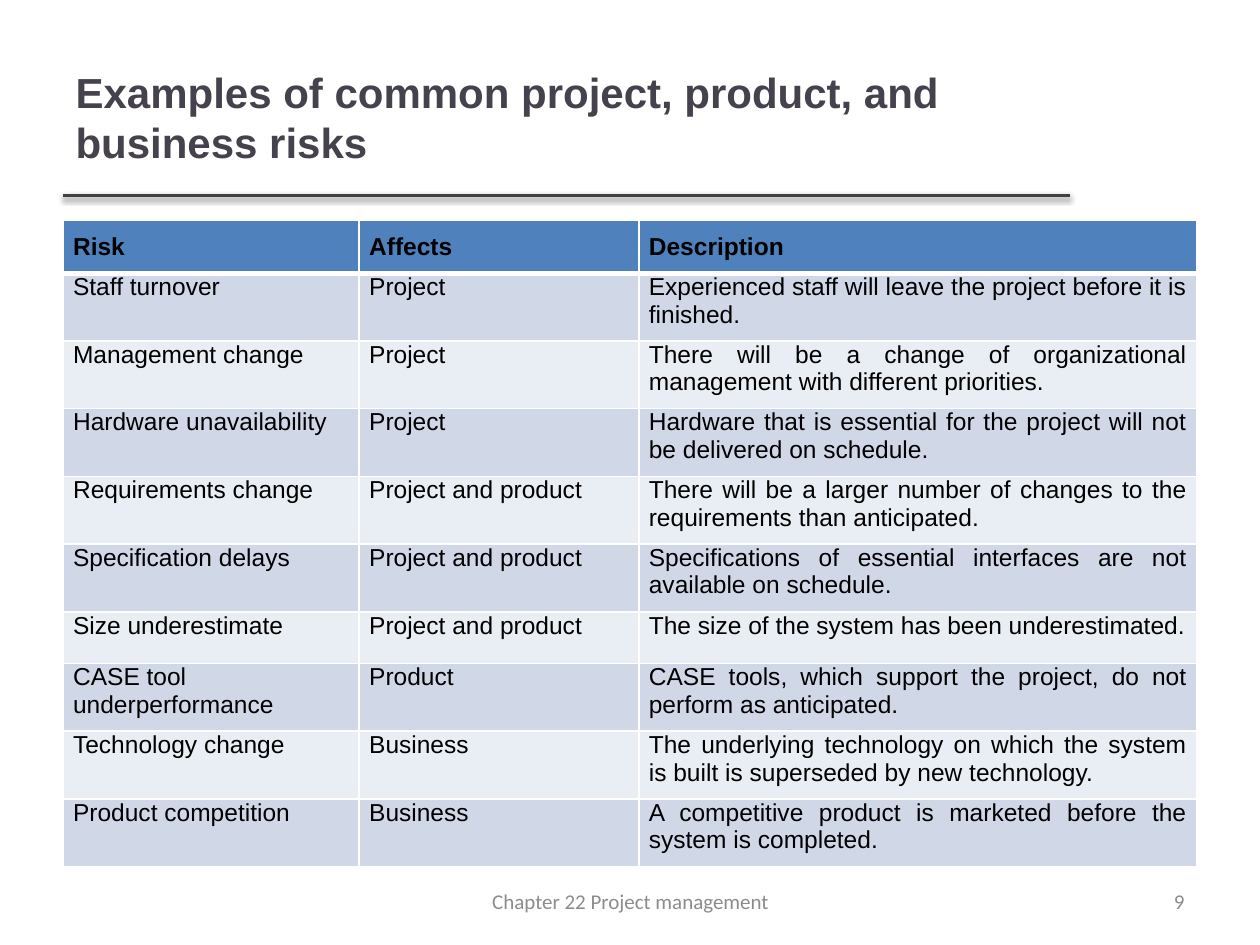
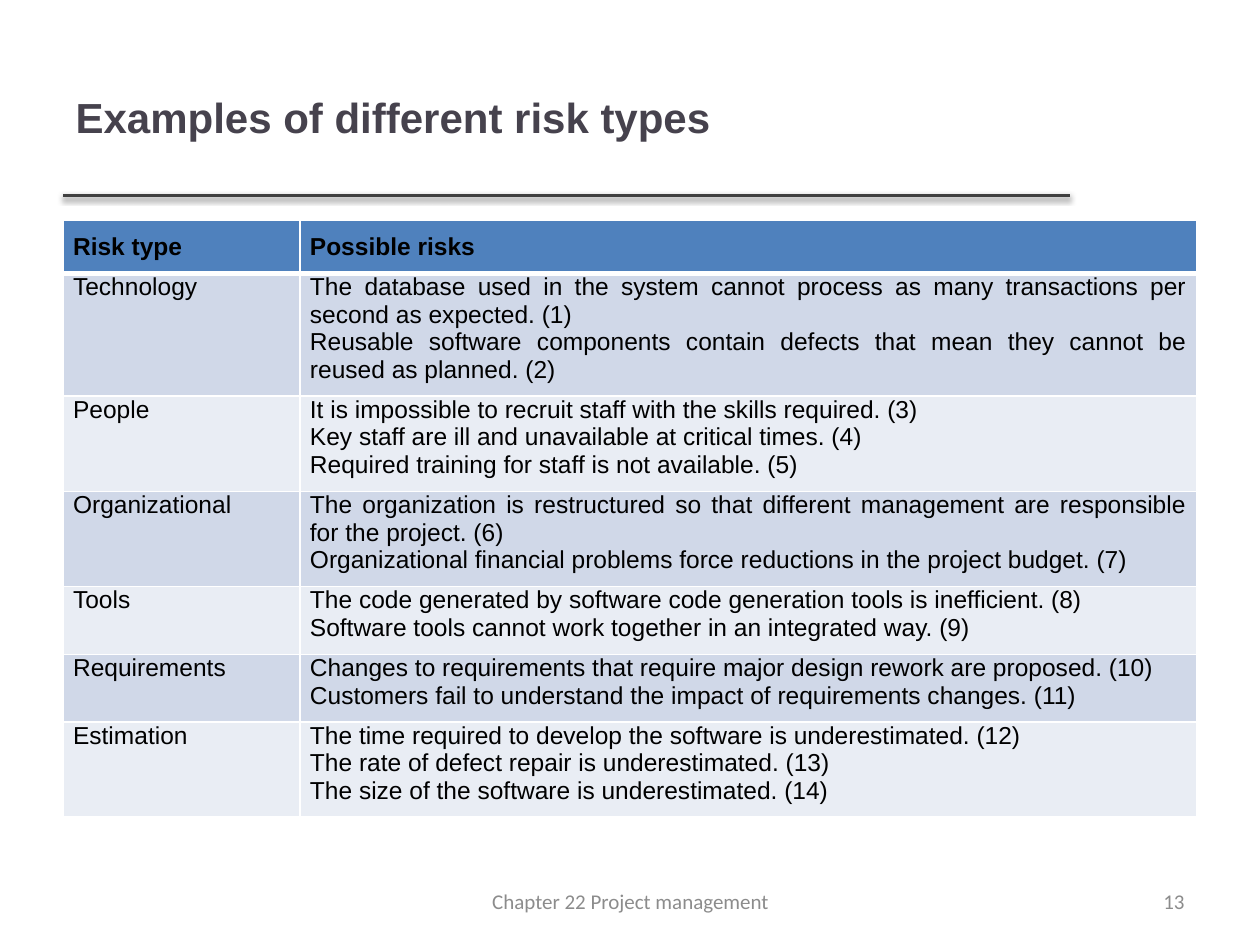
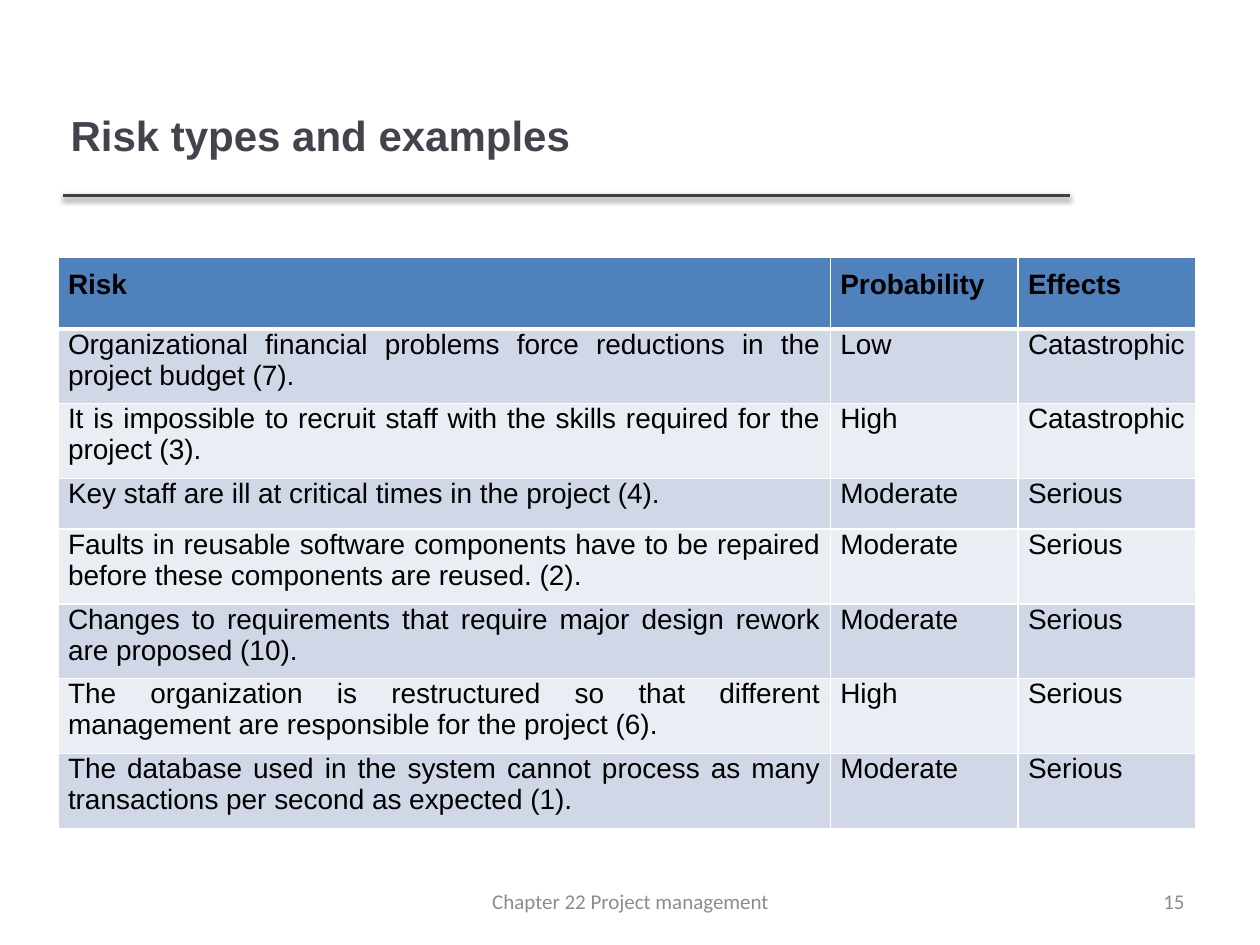
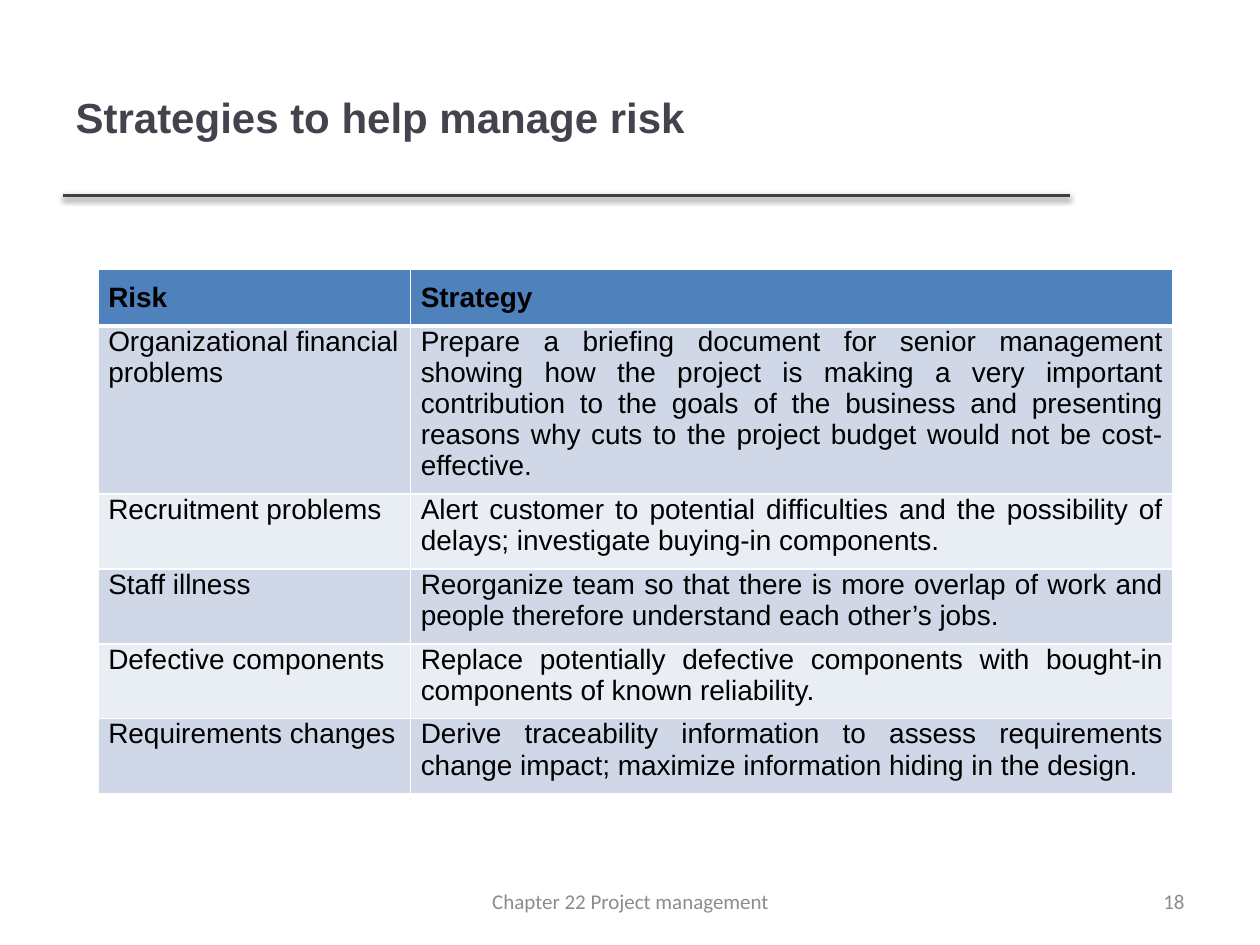
"""Four slides on project risk, each a titled table with a common rule and footer."""
from dataclasses import dataclass

import pptx
import pptx.dml.color
import pptx.enum.shapes
import pptx.enum.text
import pptx.oxml
import pptx.oxml.ns
import pptx.presentation
import pptx.slide
import pptx.table
import pptx.text.text
import pptx.util

Inches = pptx.util.Inches
Align = pptx.enum.text.PP_ALIGN
Anchor = pptx.enum.text.MSO_ANCHOR
Box = tuple[float, float, float, float]


@dataclass(frozen=True)
class Theme:
    """Colours, fonts and type sizes used on every slide."""
    title_color: str = "46424D"
    rule_color: str = "404040"
    footer_color: str = "8C8C8C"
    text_color: str = "000000"
    border_color: str = "FFFFFF"
    header_fill: str = "4F81BD"
    band_fills: tuple[str, str] = ("D0D8E8", "E9EDF4")
    body_font: str = "Arial"
    footer_font: str = "Calibri"
    title_size: int = 24
    footer_size: int = 12
    rule_width: int = 2
    border_width: int = 1
    header_border_width: int = 3


THEME = Theme()
TITLE_BOX: Box = (0.5, 0.3, 7.98, 1.25)
NUMBER_BOX: Box = (7.17, 6.95, 2.33, 0.4)
CHAPTER_BOX: Box = (3.42, 6.95, 3.17, 0.4)
CHAPTER = "Chapter 22 Project management"
ROW_HEIGHT = 0.41


@dataclass(frozen=True)
class RiskSlide:
    """One slide: its title, page number and table; a line break in a cell starts a paragraph."""
    title: str
    number: int
    table_box: Box
    columns: tuple[float, ...]
    header: tuple[str, ...]
    rows: tuple[tuple[str, ...], ...]
    text_size: int
    left_columns: int = 0
    title_box: Box = TITLE_BOX
    row_heights: tuple[float, ...] = ()


SLIDES = (
    RiskSlide(
        title="Examples of common project, product, and business risks",
        number=9,
        table_box=(0.5, 1.75, 9, 5.37),
        columns=(2.35, 2.22, 4.43),
        text_size=14,
        left_columns=2,
        header=("Risk", "Affects", "Description"),
        rows=(
            ("Staff turnover", "Project",
             "Experienced staff will leave the project before it is finished."),
            ("Management change", "Project",
             "There will be a change of organizational management with different priorities."),
            ("Hardware unavailability", "Project",
             "Hardware that is essential for the project will not be delivered on schedule."),
            ("Requirements change", "Project and product",
             "There will be a larger number of changes to the requirements than anticipated."),
            ("Specification delays", "Project and product",
             "Specifications of essential interfaces are not available on schedule."),
            ("Size underestimate", "Project and product",
             "The size of the system has been underestimated."),
            ("CASE tool underperformance", "Product",
             "CASE tools, which support the project, do not perform as anticipated."),
            ("Technology change", "Business",
             "The underlying technology on which the system is built is superseded "
             "by new technology."),
            ("Product competition", "Business",
             "A competitive product is marketed before the system is completed."),
        ),
    ),
    RiskSlide(
        title="Examples of different risk types",
        number=13,
        table_box=(0.5, 1.75, 9, 5),
        columns=(1.88, 7.12),
        text_size=14,
        header=("Risk type", "Possible risks"),
        rows=(
            ("Technology",
             "The database used in the system cannot process as many transactions "
             "per second as expected. (1)\n"
             "Reusable software components contain defects that mean they cannot be "
             "reused as planned. (2)"),
            ("People",
             "It is impossible to recruit staff with the skills required. (3)\n"
             "Key staff are ill and unavailable at critical times. (4)\n"
             "Required training for staff is not available. (5)"),
            ("Organizational",
             "The organization is restructured so that different management are "
             "responsible for the project. (6)\n"
             "Organizational financial problems force reductions in the project budget. (7)"),
            ("Tools",
             "The code generated by software code generation tools is inefficient. (8)\n"
             "Software tools cannot work together in an integrated way. (9)"),
            ("Requirements",
             "Changes to requirements that require major design rework are proposed. (10)\n"
             "Customers fail to understand the impact of requirements changes. (11)"),
            ("Estimation",
             "The time required to develop the software is underestimated. (12)\n"
             "The rate of defect repair is underestimated. (13)\n"
             "The size of the software is underestimated. (14)"),
        ),
    ),
    RiskSlide(
        title="Risk types and examples",
        number=15,
        title_box=(0.46, 0.49, 7.63, 1.15),
        table_box=(0.46, 2.04, 9.03, 4.76),
        columns=(6.13, 1.49, 1.41),
        row_heights=(0.57, 0.47, 0.47, 0.4, 0.47, 0.47, 0.47, 0.47),
        text_size=16,
        header=("Risk", "Probability", "Effects"),
        rows=(
            ("Organizational financial problems force reductions in the project budget (7).",
             "Low", "Catastrophic"),
            ("It is impossible to recruit staff with the skills required for the project (3).",
             "High", "Catastrophic"),
            ("Key staff are ill at critical times in the project (4).",
             "Moderate", "Serious"),
            ("Faults in reusable software components have to be repaired before these "
             "components are reused. (2).", "Moderate", "Serious"),
            ("Changes to requirements that require major design rework are proposed (10).",
             "Moderate", "Serious"),
            ("The organization is restructured so that different management are "
             "responsible for the project (6).", "High", "Serious"),
            ("The database used in the system cannot process as many transactions "
             "per second as expected (1).", "Moderate", "Serious"),
        ),
    ),
    RiskSlide(
        title="Strategies to help manage risk",
        number=18,
        table_box=(0.78, 2.14, 8.53, 4.43),
        columns=(2.48, 6.05),
        text_size=16,
        left_columns=1,
        header=("Risk", "Strategy"),
        rows=(
            ("Organizational financial problems",
             "Prepare a briefing document for senior management showing how the project "
             "is making a very important contribution to the goals of the business and "
             "presenting reasons why cuts to the project budget would not be "
             "cost-effective."),
            ("Recruitment problems",
             "Alert customer to potential difficulties and the possibility of delays; "
             "investigate buying-in components."),
            ("Staff illness",
             "Reorganize team so that there is more overlap of work and people therefore "
             "understand each other’s jobs."),
            ("Defective components",
             "Replace potentially defective components with bought-in components of "
             "known reliability."),
            ("Requirements changes",
             "Derive traceability information to assess requirements change impact; "
             "maximize information hiding in the design."),
        ),
    ),
)


def rgb(color: str) -> pptx.dml.color.RGBColor:
    """Turn a hex string into a colour."""
    return pptx.dml.color.RGBColor.from_string(color)


def write_text(frame: pptx.text.text.TextFrame, text: str, *, size: int, color: str,
               font: str = THEME.body_font, bold: bool = False,
               align: Align = Align.LEFT) -> None:
    """Fill a text frame with one formatted paragraph per line of text."""
    frame.text = text
    for paragraph in frame.paragraphs:
        paragraph.alignment = align
        for run in paragraph.runs:
            run.font.size = pptx.util.Pt(size)
            run.font.name = font
            run.font.bold = bold
            run.font.color.rgb = rgb(color)


def add_title(slide: pptx.slide.Slide, text: str, box: Box) -> None:
    """Place and format the title placeholder."""
    title = slide.shapes.title
    title.left, title.top, title.width, title.height = map(Inches, box)
    frame = title.text_frame
    frame.auto_size = pptx.enum.text.MSO_AUTO_SIZE.NONE
    frame.word_wrap = True
    frame.vertical_anchor = Anchor.MIDDLE
    write_text(frame, text, size=THEME.title_size, color=THEME.title_color, bold=True)


def add_rule(slide: pptx.slide.Slide) -> None:
    """Draw the shadowed rule below the title."""
    rule = slide.shapes.add_connector(
        pptx.enum.shapes.MSO_CONNECTOR.STRAIGHT,
        Inches(0.5), Inches(1.55), Inches(8.49), Inches(1.55))
    rule.line.color.rgb = rgb(THEME.rule_color)
    rule.line.width = pptx.util.Pt(THEME.rule_width)
    rule._element.spPr.append(pptx.oxml.parse_xml(
        f'<a:effectLst {pptx.oxml.ns.nsdecls("a")}>'
        f'<a:outerShdw blurRad="{pptx.util.Pt(3.1)}" dist="{pptx.util.Pt(1.6)}" '
        'dir="5400000" rotWithShape="0"><a:srgbClr val="000000">'
        '<a:alpha val="38000"/></a:srgbClr></a:outerShdw></a:effectLst>'))


def add_footer(slide: pptx.slide.Slide, text: str, box: Box, align: Align) -> None:
    """Add one footer text."""
    footer = slide.shapes.add_textbox(*map(Inches, box))
    footer.text_frame.word_wrap = True
    footer.text_frame.vertical_anchor = Anchor.MIDDLE
    write_text(footer.text_frame, text, size=THEME.footer_size, color=THEME.footer_color,
               font=THEME.footer_font, align=align)


def set_borders(cell: pptx.table._Cell, row: int) -> None:
    """Draw the cell's borders, with a heavier one between header and body."""
    widths = dict.fromkeys(("lnL", "lnR", "lnT", "lnB"), THEME.border_width)
    if row < 2:
        widths["lnB" if row == 0 else "lnT"] = THEME.header_border_width
    properties = cell._tc.get_or_add_tcPr()
    for position, (side, width) in enumerate(widths.items()):
        properties.insert(position, pptx.oxml.parse_xml(
            f'<a:{side} {pptx.oxml.ns.nsdecls("a")} w="{pptx.util.Pt(width)}">'
            f'<a:solidFill><a:srgbClr val="{THEME.border_color}"/></a:solidFill>'
            f'</a:{side}>'))


def add_risk_table(slide: pptx.slide.Slide, content: RiskSlide) -> None:
    """Add the banded table of one slide."""
    lines = (content.header, *content.rows)
    heights = content.row_heights or (ROW_HEIGHT,) * len(lines)
    frame = slide.shapes.add_table(len(lines), len(content.columns),
                                   *map(Inches, content.table_box))
    table = frame.table
    for column, width in zip(table.columns, content.columns):
        column.width = Inches(width)
    for row, (values, height) in enumerate(zip(lines, heights)):
        is_header = row == 0
        table.rows[row].height = Inches(height)
        for column, value in enumerate(values):
            cell = table.cell(row, column)
            cell.margin_left = cell.margin_right = Inches(0.08)
            cell.margin_top = Inches(0.1 if is_header else 0)
            cell.margin_bottom = Inches(0.1)
            cell.fill.solid()
            cell.fill.fore_color.rgb = rgb(
                THEME.header_fill if is_header else THEME.band_fills[(row - 1) % 2])
            set_borders(cell, row)
            is_left = not is_header and column < content.left_columns
            write_text(cell.text_frame, value, size=content.text_size,
                       color=THEME.text_color, bold=is_header,
                       align=Align.LEFT if is_left else Align.JUSTIFY)
    frame.height = Inches(content.table_box[3])


def add_risk_slide(deck: pptx.presentation.Presentation, content: RiskSlide) -> None:
    """Build one complete slide."""
    slide = deck.slides.add_slide(deck.slide_layouts.get_by_name("Title Only"))
    add_rule(slide)
    add_title(slide, content.title, content.title_box)
    add_risk_table(slide, content)
    add_footer(slide, str(content.number), NUMBER_BOX, Align.RIGHT)
    add_footer(slide, CHAPTER, CHAPTER_BOX, Align.CENTER)


def main() -> None:
    """Build and save the deck."""
    deck = pptx.Presentation()
    deck.slide_width, deck.slide_height = Inches(10), Inches(7.5)
    for content in SLIDES:
        add_risk_slide(deck, content)
    deck.save("out.pptx")


main()
